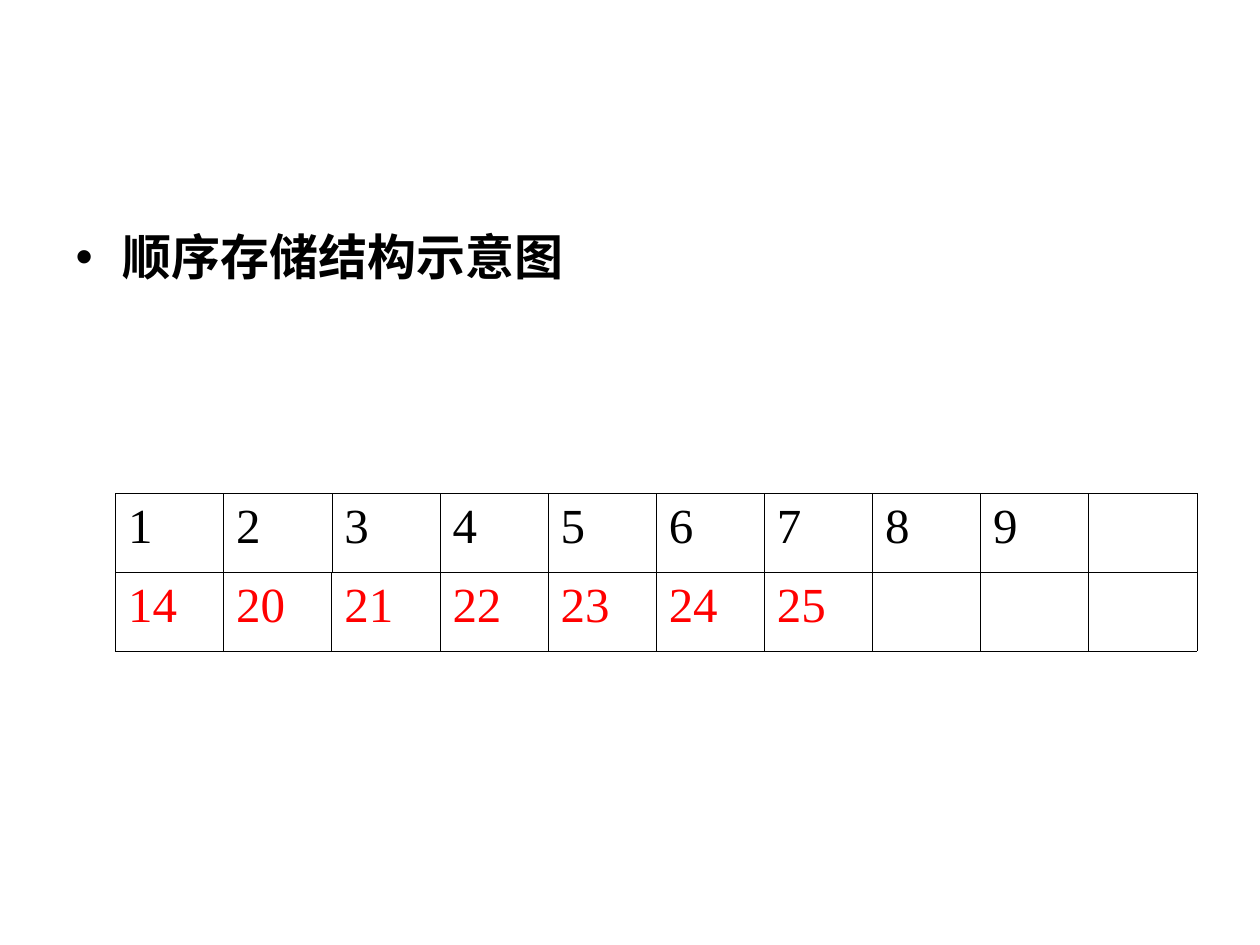
from lxml import etree
from pptx import Presentation
from pptx.dml.color import RGBColor
from pptx.enum import text
from pptx.oxml import ns
from pptx.util import Pt

# Content
HEADING = "顺序存储结构示意图"
POSITIONS = ["1", "2", "3", "4", "5", "6", "7", "8", "9", ""]
VALUES = ["14", "20", "21", "22", "23", "24", "25", "", "", ""]

BLACK = RGBColor(0, 0, 0)
RED = RGBColor(255, 0, 0)
ROWS = [(POSITIONS, BLACK, 0.34), (VALUES, RED, 0.45)]
COLUMN_WIDTH, ROW_HEIGHT = 61.8, 45


def style(para, font, color, bold=False):
    for span in para.runs:
        span.font.name = font
        span.font.size = Pt(28)
        span.font.bold = bold
        span.font.color.rgb = color


def add_bullet(para, indent):
    properties = para._p.get_or_add_pPr()
    properties.set("marL", str(Pt(indent)))
    properties.set("indent", str(-Pt(indent)))
    bullet_color = etree.SubElement(properties, ns.qn("a:buClr"))
    etree.SubElement(bullet_color, ns.qn("a:srgbClr"), val=str(BLACK))
    etree.SubElement(properties, ns.qn("a:buFont"), typeface="Arial")
    etree.SubElement(properties, ns.qn("a:buChar"), char="•")


def add_borders(cell, width):
    properties = cell._tc.get_or_add_tcPr()
    for index, side in enumerate(("lnL", "lnR", "lnT", "lnB")):
        line = etree.Element(ns.qn(f"a:{side}"), w=str(Pt(width)))
        fill = etree.SubElement(line, ns.qn("a:solidFill"))
        etree.SubElement(fill, ns.qn("a:srgbClr"), val=str(BLACK))
        properties.insert(index, line)


deck = Presentation()
deck.slide_width, deck.slide_height = Pt(720), Pt(540)
page = deck.slides.add_slide(deck.slide_layouts[1])

# Bulleted heading in the body; the slide has no title
title = page.shapes.title
title.element.getparent().remove(title.element)
body = page.placeholders[1]
body.left, body.top, body.width, body.height = Pt(36), Pt(126), Pt(318), Pt(356.4)
frame = body.text_frame
frame.text = HEADING
frame.auto_size = text.MSO_AUTO_SIZE.NONE
para = frame.paragraphs[0]
para.space_before = Pt(7)
add_bullet(para, 27)
style(para, "Arial", BLACK, bold=True)

# Storage table: positions above values
table = page.shapes.add_table(
    len(ROWS), len(POSITIONS), Pt(66), Pt(282),
    Pt(COLUMN_WIDTH * len(POSITIONS)), Pt(ROW_HEIGHT * len(ROWS))).table
table.first_row = table.horz_banding = False
for column in table.columns:
    column.width = Pt(COLUMN_WIDTH)
for row, (entries, color, border) in enumerate(ROWS):
    table.rows[row].height = Pt(ROW_HEIGHT)
    for column, entry in enumerate(entries):
        cell = table.cell(row, column)
        cell.text = entry
        cell.fill.background()
        style(cell.text_frame.paragraphs[0], "Times New Roman", color)
        add_borders(cell, border)

deck.save("out.pptx")
